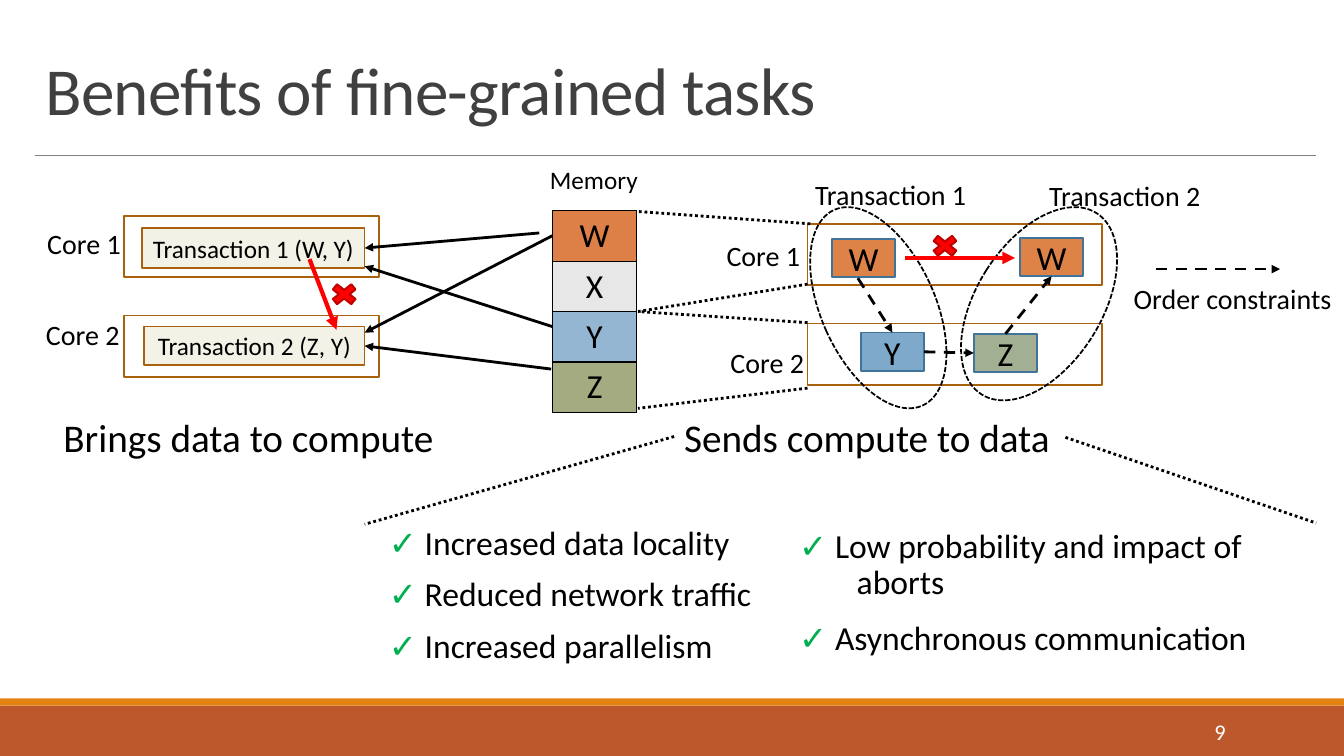
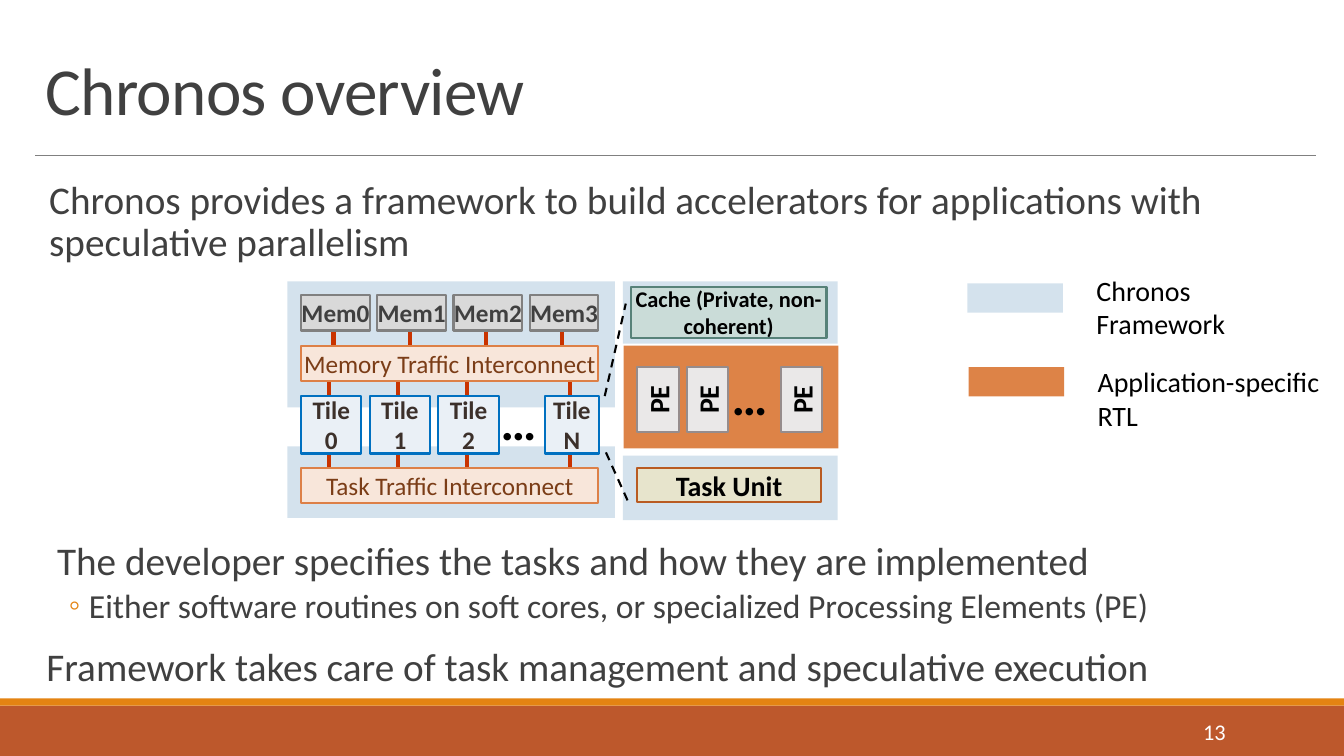
"""Build two slides on fine-grained tasks and the Chronos framework."""
from lxml.etree import SubElement
from pptx import Presentation
from pptx.dml.color import RGBColor
from pptx.enum.dml import MSO_LINE
from pptx.enum.shapes import MSO_CONNECTOR, MSO_SHAPE
from pptx.enum.text import MSO_ANCHOR, MSO_AUTO_SIZE, PP_ALIGN
from pptx.oxml.ns import qn
from pptx.util import Cm, Pt

BLACK = RGBColor(0x00, 0x00, 0x00)
WHITE = RGBColor(0xFF, 0xFF, 0xFF)
INK = RGBColor(0x40, 0x40, 0x40)
GRAY = RGBColor(0x80, 0x80, 0x80)
RUST = RGBColor(0xBD, 0x58, 0x2C)
AMBER = RGBColor(0xE4, 0x83, 0x12)
BROWN = RGBColor(0xA9, 0x61, 0x0D)
CREAM = RGBColor(0xF3, 0xF2, 0xE6)
ORANGE = RGBColor(0xDD, 0x83, 0x47)
STEEL = RGBColor(0x40, 0x74, 0x9B)
SKY = RGBColor(0x7E, 0xA9, 0xCA)
SAGE = RGBColor(0xA2, 0xAF, 0x92)
RED = RGBColor(0xFF, 0x00, 0x00)
DARK_RED = RGBColor(0xC0, 0x00, 0x00)
GREEN = RGBColor(0x00, 0xB0, 0x50)
PALE_BLUE = RGBColor(0xD4, 0xE2, 0xED)
WIRE = RGBColor(0xC9, 0x33, 0x00)
CLAY = RGBColor(0x7B, 0x3D, 0x17)
COCOA = RGBColor(0x3C, 0x30, 0x2A)

FONT = "Calibri"
WIDTH, HEIGHT = 33.87, 19.05
TOP, RIGHT, BOTTOM = 0, 3, 2
LEFT = 1

BANDS = [((0, 17.78, WIDTH, 1.27), RUST), ((0, 17.6, WIDTH, 0.18), AMBER)]
TITLE_BOX = (0.89, 0.84, 32.31, 2.54)
NUMBER_BOX = (27.51, 17.93, 3.63, 1.02)

BOX_STYLES = {
    "core": (None, BROWN, 1.25, 18, BLACK, False),
    "transaction": (CREAM, BROWN, 1.25, 18, BLACK, False),
    "task W": (ORANGE, STEEL, 1.25, 24, BLACK, False),
    "task Y": (SKY, STEEL, 1.25, 24, BLACK, False),
    "task Z": (SAGE, STEEL, 1.25, 24, BLACK, False),
    "cross": (RED, DARK_RED, 1.5, 18, BLACK, False),
    "group": (None, BLACK, 1.25, 18, BLACK, False),
    "framework": (PALE_BLUE, None, 0, 18, BLACK, False),
    "application": (ORANGE, None, 0, 18, BLACK, False),
    "element": (RGBColor(0xEA, 0xE8, 0xE8), RGBColor(0x96, 0x8C, 0x8C), 1.5, 20, BLACK, True),
    "cache": (RGBColor(0xCA, 0xDC, 0xD8), RGBColor(0x57, 0x82, 0x79), 1.5, 16, BLACK, True),
    "unit": (RGBColor(0xE7, 0xE4, 0xCC), RGBColor(0xB9, 0x5B, 0x22), 1.5, 20, BLACK, True),
    "interconnect": (RGBColor(0xF8, 0xE6, 0xDA), RGBColor(0xDD, 0x80, 0x47), 1.5, 18, CLAY, False),
    "memory": (RGBColor(0xD9, 0xD9, 0xD9), GRAY, 1.5, 18, INK, True),
    "tile": (RGBColor(0xEA, 0xF0, 0xF6), RGBColor(0x00, 0x70, 0xC0), 1.5, 18, COCOA, True),
}
LINE_STYLES = {
    "rule": (GRAY, 0.5, None, False),
    "access": (BLACK, 2, None, True),
    "order": (BLACK, 2, MSO_LINE.DASH, True),
    "zoom": (BLACK, 2, MSO_LINE.ROUND_DOT, False),
    "conflict": (RED, 3, None, True),
    "wire": (WIRE, 3, None, False),
    "detail": (BLACK, 1.5, MSO_LINE.DASH, False),
}
LIST_STYLES = {
    "check tight": dict(size=24, color=BLACK, mark="✓ ", margin=1.78, hang=-1.45,
                        line=0.8, before=12, after=2),
    "check": dict(size=24, color=BLACK, mark="✓ ", margin=1.78, hang=-1.45,
                  line=0.9, before=12, after=2),
    "point": dict(size=28, color=INK, margin=0.27, line=0.9, before=12, after=2),
    "flush": dict(size=28, color=INK, line=0.9, before=12, after=2),
    "sub": dict(size=24, color=INK, bullet="◦", margin=1.07, hang=-0.51, level=1,
                line=0.9, before=2, after=4),
}

BENEFITS = [
    ((9.47, 13.21, 11.53, 3.91), [
        ("check tight", "Increased data locality"),
        ("check tight", "Reduced network traffic"),
        ("check tight", "Increased parallelism")]),
    ((19.81, 13.21, 13.36, 3.91), [
        ("check", "Low probability and impact of\naborts"),
        ("check", "Asynchronous communication")]),
]
CORES = [(3.12, 5.44, 6.43), (20.35, 5.64, 7.42)]
CORE_STEP, CORE_HEIGHT = 2.51, 1.55
TASKS = {
    "T1": ("transaction", (3.58, 5.74, 5.61, 1.02), "Transaction 1 (W, Y)"),
    "T2": ("transaction", (3.63, 8.23, 5.56, 0.97), "Transaction 2 (Z, Y)"),
    "W1": ("task W", (20.96, 6.02, 1.6, 0.97), "W"),
    "Y": ("task Y", (21.69, 8.38, 1.6, 0.97), "Y"),
    "Z": ("task Z", (24.54, 8.41, 1.6, 0.97), "Z"),
    "W2": ("task W", (25.7, 5.99, 1.6, 0.97), "W"),
}
GROUPS = [((20.7, 5.05, 2.87, 5.41), 335.7), ((24.61, 4.95, 3.15, 5.41), 32.4)]
CROSSES = [(8.23, 7.06, 0.89, 0.71), (23.37, 5.84, 0.89, 0.71)]
MEMORY_BOX = (13.92, 5.31, 2.13, 5.08)
MEMORY_CELLS = [("W", RGBColor(0xDD, 0x80, 0x47)), ("X", RGBColor(0xE7, 0xE7, 0xE7)),
                ("Y", RGBColor(0x94, 0xB6, 0xD2)), ("Z", RGBColor(0xA5, 0xAB, 0x81))]
TASK_LABELS = [
    ("Transaction 1", (20.29, 4.34, 4.52, 1.12), 20),
    ("Transaction 2", (26.19, 4.37, 4.52, 1.12), 20),
    ("Core 1", (0.94, 5.59, 2.39, 1.12), 20),
    ("Core 2", (0.91, 7.87, 2.39, 1.12), 20),
    ("Core 1", (18.06, 5.89, 2.39, 1.12), 20),
    ("Core 2", (18.16, 8.59, 2.39, 1.12), 20),
    ("Order constraints", (28.32, 6.96, 5.55, 1.12), 20),
    ("Memory", (13.61, 4.01, 2.74, 1.02), 18),
    ("Brings data to compute", (1.35, 10.29, 9.93, 1.45), 28),
    ("Sends compute to data", (16.99, 10.29, 9.83, 1.45), 28),
]
TASK_LINES = [
    ("access", (13.59, 5.87), ("T1", RIGHT)),
    ("access", (13.92, 8.23), (9.19, 6.71)),
    ("access", (13.89, 9.3), ("T2", RIGHT)),
    ("access", (13.92, 5.94), (9.19, 8.38)),
    ("zoom", (20.42, 5.64), (16.08, 5.33)),
    ("zoom", (20.35, 7.16), (16.08, 7.85)),
    ("zoom", (20.35, 8.13), (16.08, 7.85)),
    ("zoom", (20.35, 9.78), (16.08, 10.29)),
    ("zoom", (16.99, 11), (9.19, 13.21)),
    ("zoom", (26.85, 11.02), (33.17, 13.18)),
    ("order", (21.62, 7.01), ("Y", TOP)),
    ("order", ("Y", RIGHT), ("Z", LEFT)),
    ("order", ("Z", TOP), ("W2", BOTTOM)),
    ("order", (29.13, 6.78), (32.26, 6.78)),
    ("conflict", (7.8, 6.53), (8.48, 8.31)),
    ("conflict", (22.81, 6.5), (25.58, 6.5)),
]

OVERVIEW = [
    ((0.97, 4.42, 32.11, 2.5), [
        ("point", "Chronos provides a framework to build accelerators for applications "
                  "with speculative parallelism")]),
    ((1.17, 13.51, 32.11, 4.1), [
        ("point", "The developer specifies the tasks and how they are implemented"),
        ("sub", "Either software routines on soft cores, or specialized Processing Elements (PE)"),
        ("flush", "Framework takes care of task management and speculative execution")]),
]
PANELS = [
    ("application", (15.72, 8.71, 5.41, 2.59)),
    ("framework", (15.7, 7.09, 5.41, 1.57)),
    ("framework", (15.7, 11.48, 5.41, 1.63)),
    ("framework", (7.24, 11.25, 8.26, 1.8)),
    ("framework", (7.24, 7.09, 8.26, 3.18)),
    ("framework", (24.38, 7.14, 2.41, 0.74)),
    ("application", (24.41, 9.25, 2.41, 0.74)),
]
UNITS = [
    ("cache", (15.9, 7.24, 4.93, 1.27), "Cache (Private, non-coherent)"),
    ("unit", (16.05, 11.79, 4.65, 0.86), "Task Unit"),
    ("interconnect", (7.59, 8.71, 7.49, 0.89), "Memory Traffic Interconnect"),
    ("interconnect", (7.59, 11.79, 7.49, 0.89), "Task Traffic Interconnect"),
]
MEMORIES = ["Mem0", "Mem1", "Mem2", "Mem3"]
MEMORY_LEFT, MEMORY_STEP, MEMORY_WIDTH = 7.59, 1.92, 1.73
TILES = [("Tile\n0", 7.59, 1.52), ("Tile\n1", 9.32, 1.52),
         ("Tile\n2", 11.05, 1.52), ("Tile\nN", 13.74, 1.35)]
ELEMENT_LEFTS = [15.77, 17.02, 19.38]
DETAILS = [((15.27, 11.4), (15.82, 12.62)), ((15.24, 9.98), (15.77, 7.65))]
ELLIPSES = [(12.37, 9.7, 1.93, 1.8), (18.19, 9.07, 1.93, 1.8)]
LEGEND = [("Chronos\nFramework", (27.38, 6.76, 3.78, 1.96), 20),
          ("Application-specific\nRTL", (27.41, 9.07, 6.17, 1.96), 20)]


def lengths(values):
    return [Cm(value) for value in values]


def set_all(target, values):
    for name, value in values.items():
        setattr(target, name, value)


def style_font(font, size, color, bold=False):
    set_all(font, {"name": FONT, "size": Pt(size), "bold": bold})
    font.color.rgb = color


def place(shape, box):
    set_all(shape, dict(zip(("left", "top", "width", "height"), lengths(box))))


def write_text(frame, text, size, color, bold=False, align=PP_ALIGN.LEFT):
    frame.text = text
    for paragraph in frame.paragraphs:
        paragraph.alignment = align
        style_font(paragraph.font, size, color, bold)


def add_box(slide, style, box, text="", preset=MSO_SHAPE.RECTANGLE, rotation=0):
    fill, line, width, size, color, bold = BOX_STYLES[style]
    shape = slide.shapes.add_shape(preset, *lengths(box))
    shape.shadow.inherit = False
    shape.rotation = rotation
    paint(shape.fill, fill)
    paint(shape.line.fill, line)
    if line is not None:
        shape.line.width = Pt(width)
    if text:
        margins = dict.fromkeys(("margin_left", "margin_right", "margin_top", "margin_bottom"), 0)
        set_all(shape.text_frame, {**margins, "word_wrap": True,
                                   "vertical_anchor": MSO_ANCHOR.MIDDLE})
        write_text(shape.text_frame, text, size, color, bold, PP_ALIGN.CENTER)
    return shape


def paint(fill, color):
    if color is None:
        fill.background()
    else:
        fill.solid()
        fill.fore_color.rgb = color


def add_label(slide, text, box, size, bold=False):
    frame = slide.shapes.add_textbox(*lengths(box)).text_frame
    set_all(frame, {"word_wrap": False, "auto_size": MSO_AUTO_SIZE.SHAPE_TO_FIT_TEXT})
    write_text(frame, text, size, BLACK, bold)


def add_line(slide, style, start, end, boxes=None):
    color, width, dash, arrow = LINE_STYLES[style]
    points = [(0, 0) if isinstance(point[0], str) else point for point in (start, end)]
    connector = slide.shapes.add_connector(
        MSO_CONNECTOR.STRAIGHT, *lengths(points[0] + points[1]))
    for point, connect in ((start, connector.begin_connect), (end, connector.end_connect)):
        if isinstance(point[0], str):
            connect(boxes[point[0]], point[1])
    connector.line.color.rgb = color
    set_all(connector.line, {"width": Pt(width), "dash_style": dash})
    properties = connector.element.spPr
    if arrow:
        SubElement(properties.find(qn("a:ln")), qn("a:tailEnd"), type="triangle")
    SubElement(properties, qn("a:effectLst"))
    return connector


def fill_list(placeholder, box, items):
    place(placeholder, box)
    frame = placeholder.text_frame
    set_all(frame, {"margin_left": 0, "margin_right": 0, "word_wrap": True,
                    "auto_size": MSO_AUTO_SIZE.NONE, "vertical_anchor": MSO_ANCHOR.TOP})
    for index, (style_name, text) in enumerate(items):
        style = LIST_STYLES[style_name]
        paragraph = frame.add_paragraph() if index else frame.paragraphs[0]
        properties = paragraph._p.get_or_add_pPr()
        properties.set("marL", str(Cm(style.get("margin", 0))))
        properties.set("indent", str(Cm(style.get("hang", 0))))
        if "bullet" in style:
            color = SubElement(properties, qn("a:buClr"))
            SubElement(color, qn("a:srgbClr"), val=str(AMBER))
            SubElement(properties, qn("a:buChar"), char=style["bullet"])
        else:
            SubElement(properties, qn("a:buNone"))
        set_all(paragraph, {"level": style.get("level", 0), "line_spacing": style["line"],
                            "space_before": Pt(style["before"] if index else 0),
                            "space_after": Pt(style["after"])})
        if "mark" in style:
            add_run(paragraph, style["mark"], style["size"], GREEN)
        for row, line in enumerate(text.split("\n")):
            if row:
                paragraph.add_line_break()
            add_run(paragraph, line, style["size"], style["color"])


def add_run(paragraph, text, size, color):
    run = paragraph.add_run()
    run.text = text
    style_font(run.font, size, color)


def add_memory_table(slide):
    frame = slide.shapes.add_table(len(MEMORY_CELLS), 1, *lengths(MEMORY_BOX))
    set_all(frame.table, {"first_row": False, "horz_banding": False})
    for row, (text, color) in enumerate(MEMORY_CELLS):
        cell = frame.table.cell(row, 0)
        cell.vertical_anchor = MSO_ANCHOR.MIDDLE
        write_text(cell.text_frame, text, 24, BLACK, align=PP_ALIGN.CENTER)
        properties = cell._tc.get_or_add_tcPr()
        for side in ("a:lnL", "a:lnR", "a:lnT", "a:lnB"):
            border = SubElement(properties, qn(side), w=str(Pt(1)))
            SubElement(SubElement(border, qn("a:solidFill")), qn("a:srgbClr"), val=str(BLACK))
        paint(cell.fill, color)


def add_master_frame(presentation, slide):
    parts = [add_line(slide, "rule", (0.89, 3.91), (33.17, 3.91))]
    for box, color in BANDS:
        band = add_box(slide, "framework", box)
        paint(band.fill, color)
        parts.append(band)
    for part in parts:
        presentation.slide_master.shapes.element.append(part.element)


def add_content_slide(presentation, title, number, lists):
    slide = presentation.slides.add_slide(presentation.slide_layouts.get_by_name("Two Content"))
    heading = slide.shapes.title
    place(heading, TITLE_BOX)
    set_all(heading.text_frame, {"vertical_anchor": MSO_ANCHOR.BOTTOM,
                                 "auto_size": MSO_AUTO_SIZE.NONE})
    paragraph = heading.text_frame.paragraphs[0]
    set_all(paragraph, {"alignment": PP_ALIGN.LEFT, "line_spacing": 0.85})
    add_run(paragraph, title, 48, INK)
    paragraph.runs[0].font._element.set("spc", "-50")
    for index, (box, items) in enumerate(lists, 1):
        fill_list(slide.placeholders[index], box, items)
    frame = slide.shapes.add_textbox(*lengths(NUMBER_BOX)).text_frame
    set_all(frame, {"word_wrap": True, "vertical_anchor": MSO_ANCHOR.MIDDLE})
    write_text(frame, number, 16, WHITE, align=PP_ALIGN.RIGHT)
    return slide


def draw_tasks(slide):
    for left, top, width in CORES:
        for row in range(2):
            add_box(slide, "core", (left, top + row * CORE_STEP, width, CORE_HEIGHT))
    boxes = {name: add_box(slide, *task) for name, task in TASKS.items()}
    add_memory_table(slide)
    for box, rotation in GROUPS:
        group = add_box(slide, "group", box, preset=MSO_SHAPE.OVAL, rotation=rotation)
        group.line.dash_style = MSO_LINE.SQUARE_DOT
    for label in TASK_LABELS:
        add_label(slide, *label)
    for line in TASK_LINES:
        add_line(slide, *line, boxes)
    for box in CROSSES:
        add_box(slide, "cross", box, preset=MSO_SHAPE.MATH_MULTIPLY)


def draw_overview(slide):
    for panel in PANELS:
        add_box(slide, *panel)
    memories = [(text, MEMORY_LEFT + index * MEMORY_STEP, MEMORY_WIDTH)
                for index, text in enumerate(MEMORIES)]
    rows = [("memory", memories, 7.44, 0.89, 8.89, 8), ("tile", TILES, 9.98, 1.45, 12.2, 9.3)]
    for _, cells, _, _, start, end in rows:
        for _, left, width in cells:
            middle = left + width / 2 - 0.05
            add_line(slide, "wire", (middle, start), (middle, end))
    for unit in UNITS:
        add_box(slide, *unit)
    for style, cells, top, height, _, _ in rows:
        for text, left, width in cells:
            add_box(slide, style, (left, top, width, height), text)
    for left in ELEMENT_LEFTS:
        add_box(slide, "element", (left, 9.55, 1.63, 1.04), "PE", rotation=270)
    for start, end in DETAILS:
        add_line(slide, "detail", start, end)
    for box in ELLIPSES:
        add_label(slide, "…", box, 36, bold=True)
    for label in LEGEND:
        add_label(slide, *label)


def main():
    presentation = Presentation()
    set_all(presentation, {"slide_width": Cm(WIDTH), "slide_height": Cm(HEIGHT)})
    tasks = add_content_slide(presentation, "Benefits of fine-grained tasks", "9", BENEFITS)
    add_master_frame(presentation, tasks)
    draw_tasks(tasks)
    draw_overview(add_content_slide(presentation, "Chronos overview", "13", OVERVIEW))
    presentation.save("out.pptx")


if __name__ == "__main__":
    main()
